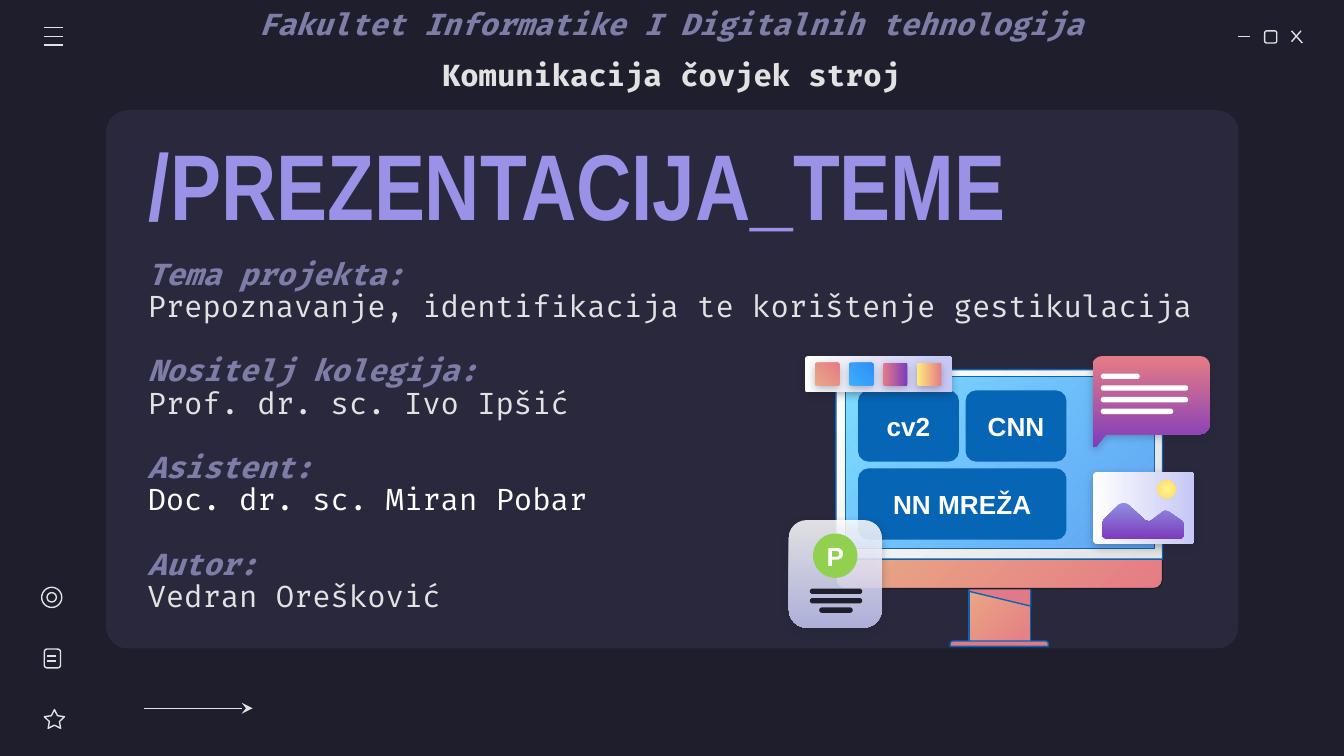
"""Build the title slide of a project presentation on a grid of 0.01 inch cells."""
import math
from dataclasses import dataclass
from typing import Any

import lxml.etree
import pptx
import pptx.dml.color
import pptx.enum.shapes
import pptx.enum.text
import pptx.oxml.ns
import pptx.util

RGBColor = pptx.dml.color.RGBColor
SHAPE = pptx.enum.shapes.MSO_SHAPE
ALIGN = pptx.enum.text.PP_ALIGN
qn = pptx.oxml.ns.qn
CELL = pptx.util.Inches(0.01)
COLUMNS, ROWS = 1000, 562.5

NIGHT = RGBColor(0x1E, 0x1E, 0x2C)
PANEL = RGBColor(0x29, 0x28, 0x3D)
LIGHT = RGBColor(0xE2, 0xE2, 0xE2)
WHITE = RGBColor(0xFF, 0xFF, 0xFF)
MUTED = RGBColor(0x7D, 0x7D, 0xA7)
VIOLET = RGBColor(0x9A, 0x92, 0xE6)
LAVENDER = RGBColor(0xC5, 0xC7, 0xF4)
PURPLE = RGBColor(0x7E, 0x3B, 0xBE)
PERIWINKLE = RGBColor(0x8D, 0x90, 0xE1)
PEACH = RGBColor(0xE9, 0xA9, 0x84)
CORAL = RGBColor(0xE5, 0x7C, 0x85)
ROSE = RGBColor(0xE0, 0x7A, 0x88)
BLUE = RGBColor(0x06, 0x65, 0xB5)
SKY = RGBColor(0x80, 0xDF, 0xFF)
AZURE = RGBColor(0x31, 0x8F, 0xFA)
BRIGHT_BLUE = RGBColor(0x3D, 0xB0, 0xFD)
MID_BLUE = RGBColor(0x30, 0x8E, 0xF7)
GREEN = RGBColor(0x92, 0xD0, 0x50)
LEMON = RGBColor(0xFF, 0xF6, 0x8E)
AMBER = RGBColor(0xFF, 0xD9, 0x66)
YELLOW = RGBColor(0xFF, 0xEA, 0x7D)


@dataclass
class Gradient:
    """Two-colour gradient with a clockwise angle and opacities in percent."""
    first: Any
    last: Any
    angle: int = 90
    opacities: tuple = (100, 100)
    radial: bool = False


def paint(shape, fill, line, shadow):
    """Set the fill, outline and shadow of a shape."""
    shape.shadow.inherit = False
    properties = shape._element.spPr
    if isinstance(fill, Gradient):
        shape.fill.gradient()
        shape.fill.gradient_angle = 360 - fill.angle
        for stop, color in zip(shape.fill.gradient_stops, (fill.first, fill.last)):
            stop.color.rgb = color
        for color, opacity in zip(list(properties.iter(qn("a:srgbClr"))), fill.opacities):
            if opacity < 100:
                lxml.etree.SubElement(color, qn("a:alpha"), val=str(opacity * 1000))
        if fill.radial:
            gradient = properties.find(qn("a:gradFill"))
            gradient.remove(gradient.find(qn("a:lin")))
            circle = lxml.etree.SubElement(gradient, qn("a:path"), {"path": "circle"})
            lxml.etree.SubElement(circle, qn("a:fillToRect"), dict.fromkeys("ltrb", "50000"))
    elif fill is None:
        shape.fill.background()
    else:
        shape.fill.solid()
        shape.fill.fore_color.rgb = fill
    if line is None:
        shape.line.fill.background()
    else:
        shape.line.color.rgb = line
        shape.line.width = pptx.util.Pt(0.75)
    if shadow:
        outer = lxml.etree.SubElement(
            properties.find(qn("a:effectLst")), qn("a:outerShdw"),
            blurRad="57150", dist="19050", dir="5400000", algn="bl", rotWithShape="0")
        color = lxml.etree.SubElement(outer, qn("a:srgbClr"), val=str(NIGHT))
        lxml.etree.SubElement(color, qn("a:alpha"), val="30000")


@dataclass
class Region:
    """Box in grid cells whose parts are placed from its top left corner."""
    shapes: Any
    left: float
    top: float
    width: float
    height: float

    def place(self, kind, left, top, width, height, fill=None, line=None,
              rounding=(), shadow=False, turned=False):
        """Add a preset shape, keeping its visible box when turned by 270 degrees."""
        if turned:
            left, top = left + (width - height) / 2, top + (height - width) / 2
            width, height = height, width
        shape = self.shapes.add_shape(
            kind, *(round(length * CELL) for length in
                    (self.left + left, self.top + top, width, height)))
        shape.rotation = 270 if turned else 0
        for index, value in enumerate(rounding):
            shape.adjustments[index] = value
        paint(shape, fill, line, shadow)
        return shape

    def outline(self, points, fill, line=None, shadow=False):
        """Add a closed outline through the points."""
        corners = [(round((self.left + x) * CELL), round((self.top + y) * CELL))
                   for x, y in points]
        builder = self.shapes.build_freeform(*corners[0])
        builder.add_line_segments(corners[1:], close=True)
        paint(builder.convert_to_shape(), fill, line, shadow)

    def rule(self, x1, y1, x2, y2, arrow=False):
        """Add a thin light line, optionally with an arrowhead."""
        connector = self.shapes.add_connector(
            pptx.enum.shapes.MSO_CONNECTOR.STRAIGHT,
            *(round(length * CELL) for length in
              (self.left + x1, self.top + y1, self.left + x2, self.top + y2)))
        connector.line.color.rgb = LIGHT
        connector.line.width = pptx.util.Pt(0.75)
        if arrow:
            line = connector._element.spPr.find(qn("a:ln"))
            lxml.etree.SubElement(line, qn("a:tailEnd"), type="stealth")
        lxml.etree.SubElement(connector._element.spPr, qn("a:effectLst"))

    def text(self):
        """Add a text box that fills the region."""
        box = self.shapes.add_textbox(
            *(round(length * CELL) for length in (self.left, self.top, self.width, self.height)))
        return prepare(box.text_frame, 0.1)


def prepare(frame, inset):
    """Wrap, inset and centre a text frame vertically."""
    frame.word_wrap = True
    frame.vertical_anchor = pptx.enum.text.MSO_ANCHOR.MIDDLE
    frame.margin_left = frame.margin_right = pptx.util.Inches(inset)
    frame.margin_top = frame.margin_bottom = pptx.util.Inches(inset)
    return frame


def write(frame, lines, name, size, align=ALIGN.LEFT, line_spacing=None):
    """Write lines given as text, colour, bold, italic and space before."""
    for index, (text, color, bold, italic, space) in enumerate(lines):
        paragraph = frame.add_paragraph() if index else frame.paragraphs[0]
        paragraph.text = text
        paragraph.alignment = align
        paragraph.line_spacing = line_spacing
        paragraph.space_before = pptx.util.Pt(space)
        font = paragraph.font
        font.name, font.size, font.bold, font.italic = name, pptx.util.Pt(size), bold, italic
        font.color.rgb = color


def label(shape, text, inset=0.1):
    """Write a centred white label in a shape."""
    write(prepare(shape.text_frame, inset), [(text, WHITE, True, False, 0)],
          "Arial", 14, ALIGN.CENTER)


def add_window_controls(region):
    """Draw the minimise, maximise and close signs."""
    region.rule(0, 4, 9, 4)
    region.place(SHAPE.ROUNDED_RECTANGLE, 20, 0, 9, 9, line=LIGHT)
    region.rule(40, 0, 48, 9)
    region.rule(47, 0, 40, 8)


def add_details(region):
    """Write the topic, lecturer, assistant and author."""
    details = [("Tema projekta:", "Prepoznavanje, identifikacija te korištenje gestikulacija", LIGHT),
               ("Nositelj kolegija:", "Prof. dr. sc. Ivo Ipšić", LIGHT),
               ("Asistent:", "Doc. dr. sc. Miran Pobar", WHITE),
               ("Autor:", "Vedran Orešković", LIGHT)]
    lines = []
    for heading, value, color in details:
        lines += [(heading, MUTED, True, True, 17.25 if lines else 0),
                  (value, color, False, False, 0)]
    write(region.text(), lines, "Fira Code", 16, line_spacing=0.9)


def add_title(region):
    """Write the slide title."""
    write(region.text(), [("/PREZENTACIJA_TEME", VIOLET, True, False, 0)], "Arial Narrow", 50)


def add_header(region):
    """Write the faculty and the course."""
    write(region.text(),
          [("Fakultet Informatike I Digitalnih tehnologija", MUTED, True, True, 0),
           ("Komunikacija čovjek stroj", LIGHT, True, False, 10)],
          "Fira Code", 16, ALIGN.CENTER, 0.9)


def add_monitor(region):
    """Draw the monitor with its stand, screen and labelled tiles."""
    metal = Gradient(PEACH, CORAL, 45)
    region.place(SHAPE.RECTANGLE, 99, 161, 46, 44, metal, BLUE)
    region.place(SHAPE.ROUND_2_SAME_RECTANGLE, 85, 202, 73, 4, ROSE, BLUE, (0.5, 0))
    region.outline([(99, 162), (99, 165), (145, 176), (145, 162)], ROSE, BLUE)
    region.place(SHAPE.ROUND_2_SAME_RECTANGLE, 0, 139, region.width, 24, metal, NIGHT, (0, 0.27))
    region.place(SHAPE.ROUND_2_SAME_RECTANGLE, 0, 0, region.width, 141,
                 Gradient(WHITE, LIGHT, 45), BLUE, (0.05, 0))
    region.place(SHAPE.RECTANGLE, 7, 5, 230, 128, Gradient(SKY, AZURE, 45, (100, 72)), BLUE)
    for text, left, top, width in (("cv2", 17, 16, 74), ("NN MREŽA", 17, 74, 154),
                                   ("CNN", 97, 16, 74)):
        label(region.place(SHAPE.ROUNDED_RECTANGLE, left, top, width, 52, BLUE, BLUE, (0.14,)), text)


def add_speech_bubble(region):
    """Draw the speech bubble with four lines of writing."""
    radius, bottom = 7, 58
    points = []
    for x, y, start in ((radius, radius, 180), (region.width - radius, radius, 270),
                        (region.width - radius, bottom - radius, 0)):
        points += [(x + radius * math.cos(math.radians(angle)),
                    y + radius * math.sin(math.radians(angle)))
                   for angle in range(start, start + 91, 15)]
    points += [(10, bottom), (2, region.height), (0, region.height - 1)]
    region.outline(points, Gradient(CORAL, PURPLE), shadow=True)
    for index, width in enumerate((29, 65, 65, 54)):
        region.place(SHAPE.ROUNDED_RECTANGLE, 6, 13 + 8.7 * index, width, 4, WHITE, rounding=(0.5,))


def add_menu(region):
    """Draw the three lines of the menu sign."""
    for step in range(3):
        y = region.height * step / 2
        region.rule(0, y, region.width, y)


def add_profile_card(region):
    """Draw the card with a round initial and three bars."""
    region.place(SHAPE.ROUNDED_RECTANGLE, 0, 0, region.width, region.height,
                 Gradient(WHITE, LAVENDER, 90, (86, 86)), rounding=(0.19,), shadow=True)
    label(region.place(SHAPE.OVAL, 18, 10, 33, 33, GREEN), "P", 0)
    for index, width in enumerate((39, 39, 25)):
        region.place(SHAPE.ROUNDED_RECTANGLE, (region.width - width) / 2 + 0.5, 51 + 7 * index,
                     width, 4, NIGHT, rounding=(0.5,))


def add_landscape(region):
    """Draw the card with mountains and a sun."""
    region.place(SHAPE.ROUNDED_RECTANGLE, 0, 0, region.width, region.height,
                 Gradient(WHITE, LAVENDER), rounding=(0.07,), shadow=True, turned=True)
    ridge = [(16, 0), (13, 1), (1, 13), (0, 16), (0, 24), (1, 26), (4, 27), (58, 27), (60, 26),
             (61, 24), (61, 17), (60, 14), (50, 7), (47, 6), (45, 7), (37, 13), (35, 14),
             (32, 13), (19, 1)]
    region.outline([(x + 7, y + 23) for x, y in ridge], Gradient(PERIWINKLE, PURPLE))
    region.place(SHAPE.OVAL, 48, 6, 14, 14, Gradient(LEMON, AMBER, radial=True))


def add_palette(region):
    """Draw the strip with four colour swatches."""
    region.place(SHAPE.ROUNDED_RECTANGLE, 0, 0, region.width, region.height,
                 Gradient(WHITE, LAVENDER), rounding=(0.07,), shadow=True, turned=True)
    swatches = (Gradient(PEACH, CORAL, 45), Gradient(BRIGHT_BLUE, MID_BLUE, 45),
                Gradient(CORAL, PURPLE), Gradient(YELLOW, CORAL))
    for index, swatch in enumerate(swatches):
        region.place(SHAPE.ROUNDED_RECTANGLE, 7.5 + 25.3 * index, 5, 18, 17, swatch,
                     rounding=(0.07,), shadow=True, turned=True)


def add_sidebar(region):
    """Draw the star, note and target signs."""
    region.place(SHAPE.STAR_5_POINT, 2, 91, 15, 14, line=LIGHT, rounding=(0.25,))
    region.place(SHAPE.ROUNDED_RECTANGLE, 2, 46, 12, 14, line=LIGHT)
    for y in (51, 55):
        region.rule(4, y, 11, y)
    region.place(SHAPE.OVAL, 0, 0, 15, 15, line=LIGHT)
    region.place(SHAPE.OVAL, 4, 4, 7, 7, line=LIGHT)


def main():
    """Build and save the slide."""
    presentation = pptx.Presentation()
    presentation.slide_width, presentation.slide_height = COLUMNS * CELL, round(ROWS * CELL)
    slide = presentation.slides.add_slide(presentation.slide_layouts[6])
    slide.background.fill.solid()
    slide.background.fill.fore_color.rgb = NIGHT
    shapes = slide.shapes

    def group(*box):
        """Return a region whose parts form a group."""
        return Region(shapes.add_group_shape().shapes, *box)

    page = Region(shapes, 0, 0, COLUMNS, ROWS)
    page.place(SHAPE.ROUNDED_RECTANGLE, 79, 82, 842.5, 400.5, PANEL, rounding=(0.04,))
    add_window_controls(group(921, 23, 48, 9))
    add_details(Region(shapes, 100, 302, 823, 46))
    add_title(Region(shapes, 101, 48, 720, 176))
    add_monitor(group(622, 275, 243, 206))
    add_speech_bubble(group(813, 265, 87, 68))
    add_menu(group(32.5, 20.5, 14.5, 13))
    add_profile_card(group(587, 387, 69, 80))
    add_landscape(group(813, 351, 76, 54))
    add_palette(group(599, 265, 109, 27))
    add_sidebar(group(31, 437, 17, 105))
    page.rule(107, 527, 188, 527, arrow=True)
    add_header(Region(shapes, 88, 15, 823, 46))
    presentation.save("out.pptx")


if __name__ == "__main__":
    main()
